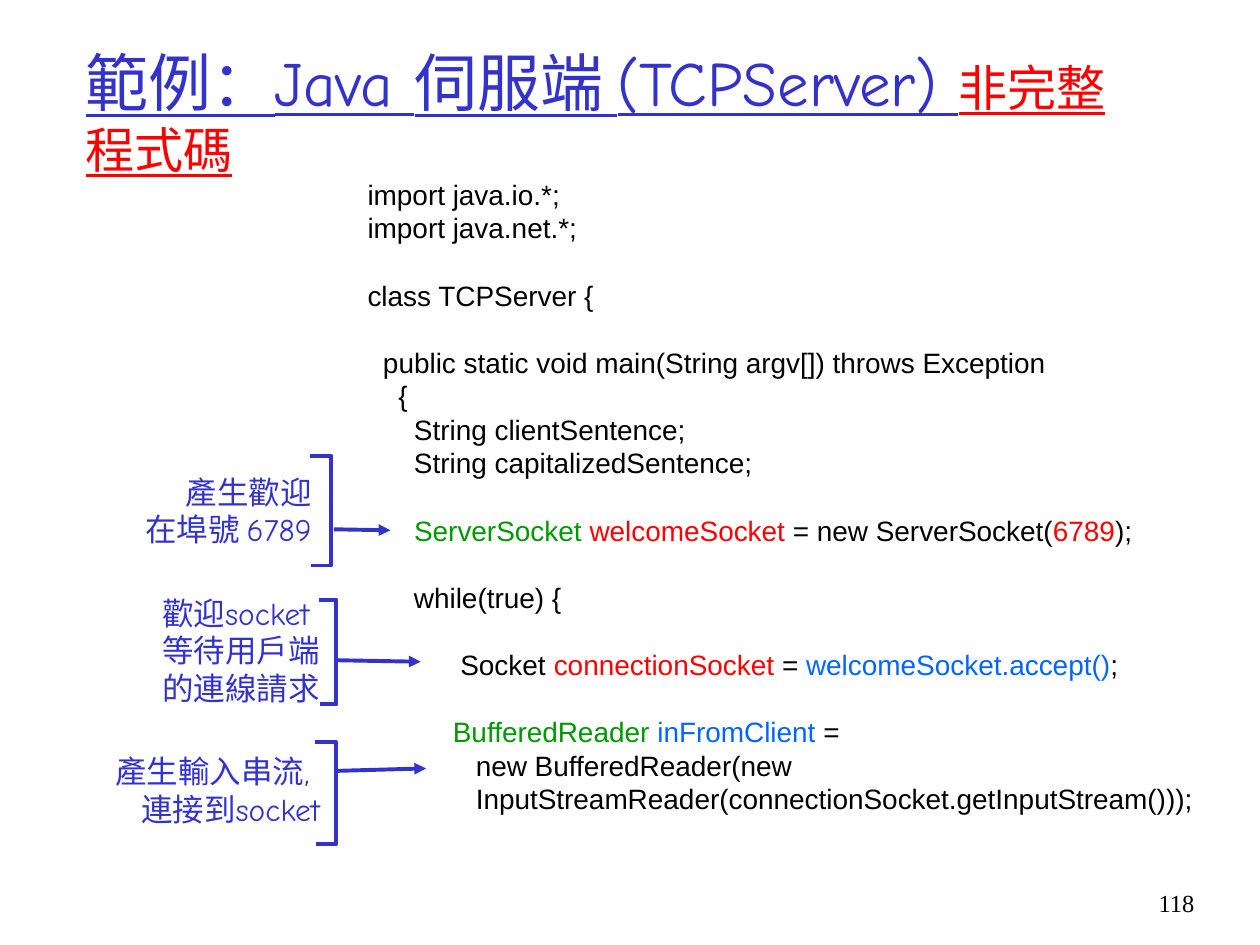
from lxml import etree
from pptx import Presentation
from pptx import util as u
from pptx.dml.color import RGBColor
from pptx.enum import text
from pptx.enum.shapes import MSO_CONNECTOR
from pptx.oxml.ns import qn

BLACK = RGBColor(0x00, 0x00, 0x00)
INDIGO = RGBColor(0x33, 0x33, 0xCC)
RED = RGBColor(0xFF, 0x00, 0x00)
GREEN = RGBColor(0x00, 0x99, 0x00)
BLUE = RGBColor(0x00, 0x66, 0xFF)
RIGHT = text.PP_ALIGN.RIGHT


def add_run(paragraph, words, color, **font_format):
    run = paragraph.add_run()
    run.text = words
    run.font.color.rgb = color
    for key, value in font_format.items():
        setattr(run.font, key, value)


def add_textbox(slide, left, top, width, height, anchor):
    frame = slide.shapes.add_textbox(u.Cm(left), u.Cm(top), u.Cm(width), u.Cm(height)).text_frame
    frame.word_wrap = True
    frame.vertical_anchor = anchor
    return frame


deck = Presentation()
deck.slide_width, deck.slide_height = u.Cm(25.4), u.Cm(19.05)
slide = deck.slides.add_slide(deck.slide_layouts[5])

title = slide.shapes.title
title_place = {"left": 1.47, "top": 0.64, "width": 21.59, "height": 3.18}
for key, value in title_place.items():
    setattr(title, key, u.Cm(value))
title_format = {"auto_size": text.MSO_AUTO_SIZE.NONE, "word_wrap": True,
                "vertical_anchor": text.MSO_ANCHOR.MIDDLE}
for key, value in title_format.items():
    setattr(title.text_frame, key, value)
heading = title.text_frame.paragraphs[0]
heading.alignment = text.PP_ALIGN.LEFT
for words, color, size in [("範例：Java 伺服端 (TCPServer) ", INDIGO, 36), ("非完整程式碼", RED, 28)]:
    add_run(heading, words, color, size=u.Pt(size), name="Comic Neue", underline=True)

code_lines = [
    (0, [("import java.io.*;", BLACK)]),
    (0, [("import java.net.*;", BLACK)]),
    (1, [("class TCPServer {", BLACK)]),
    (1, [("  public static void main(String argv[]) throws Exception", BLACK)]),
    (0, [("    {", BLACK)]),
    (0, [("      String clientSentence;", BLACK)]),
    (0, [("      String capitalizedSentence;", BLACK)]),
    (1, [("      ", BLACK), ("ServerSocket ", GREEN), ("welcomeSocket", RED),
         (" = new ServerSocket(", BLACK), ("6789", RED), (");", BLACK)]),
    (1, [("      while(true) {", BLACK)]),
    (1, [("            Socket ", BLACK), ("connectionSocket ", RED), ("= ", BLACK),
         ("welcomeSocket.accept()", BLUE), (";", BLACK)]),
    (1, [("           ", BLACK), ("BufferedReader ", GREEN), ("inFromClient", BLUE), (" =", BLACK)]),
    (0, [("              new BufferedReader(new", BLACK)]),
    (0, [("              InputStreamReader(connectionSocket.getInputStream()));", BLACK)]),
]
CODE_PITCH = 19.2
code = add_textbox(slide, 7.16, 3.45, 17.8, 14.48, text.MSO_ANCHOR.TOP)
for index, (gap_lines, pieces) in enumerate(code_lines):
    line = code.add_paragraph() if index else code.paragraphs[0]
    line.line_spacing = u.Pt(CODE_PITCH)
    line.space_before = u.Pt(CODE_PITCH * gap_lines)
    for words, color in pieces:
        add_run(line, words, color, size=u.Pt(16), name="Arial")

notes = [
    {"lines": ["產生歡迎", "在埠號 6789"], "box": (2.1, 9.4, 4.43, 1.78),
     "bracket": (6.25, 9.19, 6.68, 11.4), "arrow": (6.73, 10.67, 7.87, 10.69)},
    {"lines": ["歡迎socket ", "等待用戶端", "的連線請求"], "box": (2.4, 11.84, 4.3, 2.54),
     "bracket": (6.43, 12.09, 6.78, 14.2), "arrow": (6.81, 13.31, 8.48, 13.34)},
    {"lines": ["產生輸入串流, ", "連接到socket"], "box": (1.5, 15.04, 5.2, 1.78),
     "bracket": (6.35, 14.96, 6.78, 17.02), "arrow": (6.78, 15.54, 8.59, 15.49)},
]
for note in notes:
    caption = add_textbox(slide, *note["box"], text.MSO_ANCHOR.MIDDLE)
    for index, words in enumerate(note["lines"]):
        line = caption.add_paragraph() if index else caption.paragraphs[0]
        line.alignment = RIGHT
        line.line_spacing = u.Pt(21.6)
        add_run(line, words, INDIGO, size=u.Pt(18), name="Comic Neue")

    left, top, right, bottom = [u.Cm(value) for value in note["bracket"]]
    outline = slide.shapes.build_freeform(left, top)
    outline.add_line_segments([(right, top), (right, bottom), (left + u.Cm(0.03), bottom)], close=False)
    bracket = outline.convert_to_shape()
    bracket.shadow.inherit = False
    bracket.fill.background()

    arrow = slide.shapes.add_connector(MSO_CONNECTOR.STRAIGHT, *[u.Cm(value) for value in note["arrow"]])
    for stroke in (bracket.line, arrow.line):
        stroke.color.rgb = INDIGO
        stroke.width = u.Pt(2.25)
    etree.SubElement(arrow.line._get_or_add_ln(), qn("a:tailEnd"), type="triangle")
    etree.SubElement(arrow._element.spPr, qn("a:effectLst"))

page_number = add_textbox(slide, 23.06, 17.78, 1.27, 1.27, text.MSO_ANCHOR.TOP).paragraphs[0]
page_number.alignment = RIGHT
add_run(page_number, "118", BLACK, size=u.Pt(14), name="Times New Roman")

deck.save("out.pptx")
